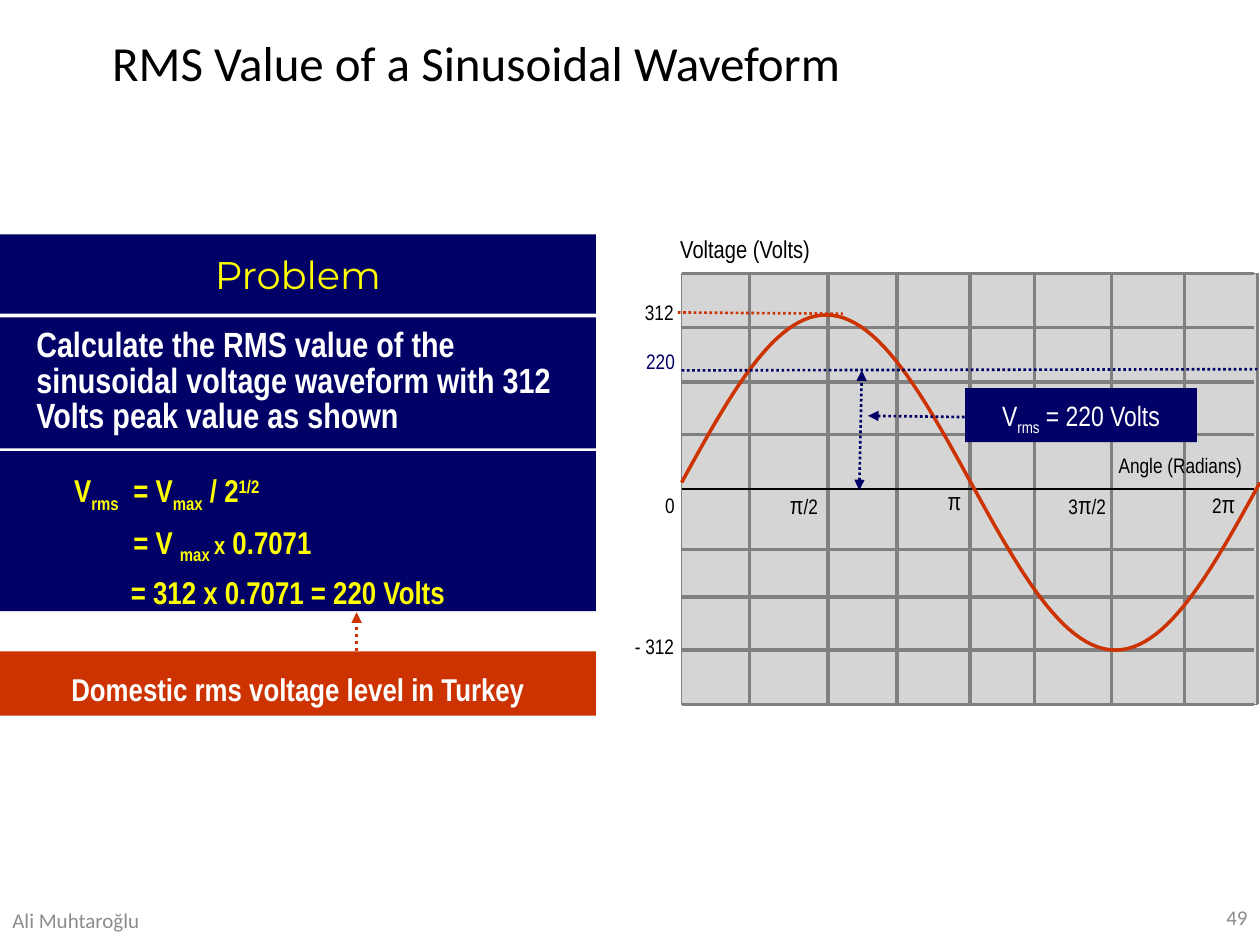
from math import pi, sin

from lxml import etree
from pptx import Presentation
from pptx.dml.color import RGBColor
from pptx.enum.dml import MSO_LINE
from pptx.enum.shapes import MSO_CONNECTOR, MSO_SHAPE
from pptx.enum.text import MSO_ANCHOR, PP_ALIGN
from pptx.oxml.ns import qn
from pptx.util import Inches, Pt

NAVY = RGBColor(0x00, 0x00, 0x66)
RED = RGBColor(0xCC, 0x33, 0x00)
YELLOW = RGBColor(0xFF, 0xFF, 0x00)
WHITE = RGBColor(0xFF, 0xFF, 0xFF)
BLACK = RGBColor(0x00, 0x00, 0x00)
GRAY = RGBColor(0x80, 0x80, 0x80)
SILVER = RGBColor(0xC0, 0xC0, 0xC0)
MUTED = RGBColor(0x8C, 0x8C, 0x8C)

LEFT, CENTER, RIGHT = PP_ALIGN.LEFT, PP_ALIGN.CENTER, PP_ALIGN.RIGHT
TOP, MIDDLE = MSO_ANCHOR.TOP, MSO_ANCHOR.MIDDLE
RECT, STRAIGHT, DOT = MSO_SHAPE.RECTANGLE, MSO_CONNECTOR.STRAIGHT, MSO_LINE.ROUND_DOT
TITLE_ONLY = 5
NARROW, CALIBRI = "Arial Narrow", "Calibri"
SUB, SUP = -25000, 30000
PAD = (0.1, 0.05)


class Painter:
    def __init__(self, slide, font):
        self.slide = slide
        self.shapes = slide.shapes
        self.font = font

    def fill_text(self, frame, paras, size, color, bold=False, font=None, align=LEFT,
                  anchor=TOP, pad=PAD, wrap=True, space=None, indents=()):
        """Fill a frame; a paragraph is a list of texts or (text, size, baseline)."""
        frame.word_wrap = wrap
        frame.vertical_anchor = anchor
        frame.margin_left = frame.margin_right = Inches(pad[0])
        frame.margin_top = frame.margin_bottom = Inches(pad[1])
        for i, parts in enumerate(paras):
            para = frame.paragraphs[0] if i == 0 else frame.add_paragraph()
            para.alignment = align
            if space:
                para.line_spacing = space
            if indents:
                margin, first = indents[i]
                props = para._p.get_or_add_pPr()
                props.set("marL", str(Inches(margin)))
                props.set("indent", str(Inches(first)))
            for part in parts:
                text, points, base = (part, size, 0) if isinstance(part, str) else part
                run = para.add_run()
                run.text = text
                run.font.name = font or self.font
                run.font.size = Pt(points)
                run.font.bold = bold
                run.font.color.rgb = color
                if base:
                    run._r.get_or_add_rPr().set("baseline", str(base))

    def title(self, text, box, size):
        shape = self.shapes.title
        shape.left, shape.top, shape.width, shape.height = map(Inches, box)
        self.fill_text(shape.text_frame, [[text]], size, BLACK, font=CALIBRI, wrap=False)

    def label(self, parts, box, size=12, color=BLACK, **style):
        shape = self.shapes.add_textbox(*map(Inches, box))
        self.fill_text(shape.text_frame, [parts], size, color, **style)

    def panel(self, box, fill, alpha=None, edge=None):
        shape = self.shapes.add_shape(RECT, *map(Inches, box))
        shape.shadow.inherit = False
        shape.fill.solid()
        shape.fill.fore_color.rgb = fill
        if alpha:
            tint = next(shape._element.spPr.iter(qn("a:srgbClr")))
            etree.SubElement(tint, qn("a:alpha")).set("val", str(alpha * 1000))
        if edge:
            shape.line.color.rgb = edge
            shape.line.width = Pt(0.75)
        else:
            shape.line.fill.background()
        return shape

    def card(self, paras, box, fill, size, color, **style):
        self.fill_text(self.panel(box, fill).text_frame, paras, size, color, **style)

    def line(self, start, end, color=GRAY, width=0, dash=None, ends=()):
        """Draw a line; ends names its arrowheads, headEnd and tailEnd."""
        link = self.shapes.add_connector(STRAIGHT, *map(Inches, start + end))
        link.line.color.rgb = color
        link.line.width = Pt(width)
        if dash:
            link.line.dash_style = dash
        props = link._element.spPr
        for name in ends:
            etree.SubElement(props.find(qn("a:ln")), qn("a:" + name)).set("type", "triangle")
        etree.SubElement(props, qn("a:effectLst"))

    def curve(self, points, color, width):
        pen = self.shapes.build_freeform(*map(Inches, points[0]))
        pen.add_line_segments([tuple(map(Inches, p)) for p in points[1:]], close=False)
        shape = pen.convert_to_shape()
        shape.shadow.inherit = False
        shape.fill.background()
        shape.line.color.rgb = color
        shape.line.width = Pt(width)


def draw_problem(art):
    width = 4.73
    art.card([["Calculate the RMS value of the sinusoidal voltage waveform "
               "with 312 Volts peak value as shown"]],
             (0, 2.52, width, 1.04), NAVY, 20, WHITE, bold=True, pad=(0.1, 0.09),
             space=0.85, indents=[(0.19, 0)])
    steps = [
        ["V", ("rms", 18, SUB), "\t= V", ("max", 18, SUB), " / 2", ("1/2", 18, SUP)],
        ["= V ", ("max ", 18, SUB), ("x", 14, 0), " 0.7071"],
        ["= 312 x 0.7071 = 220 Volts"],
    ]
    art.card(steps, (0, 3.58, width, 1.27), NAVY, 18, YELLOW, bold=True,
             pad=(0.1, 0.09), space=1.2, indents=[(0.96, -0.47), (0.96, 0), (0.94, 0)])
    art.card([["Problem"]], (0, 1.86, width, 0.63), NAVY, 22, YELLOW,
             font="Montserrat", align=CENTER, pad=(0.06, 0.13))
    art.line((2.83, 5.17), (2.83, 4.86), RED, 2, DOT, ["tailEnd"])
    art.card([["Domestic rms voltage level in Turkey"]], (0, 5.17, width, 0.51), RED,
             18, WHITE, bold=True, align=CENTER, pad=(0.1, 0.09), space=1.2)


def draw_graph(art):
    left, top, right, bottom = 5.41, 2.17, 9.98, 5.59
    art.panel((left, top, right - left, bottom - top), SILVER, 66, GRAY)
    for x in (5.95, 6.57, 7.12, 7.7, 8.21, 8.82, 9.4, right):
        art.line((x, top), (x, bottom))
    for y in (top, 2.6, 3.03, 3.45, 4.36, 4.74, 5.16, bottom):
        art.line((left, y), (9.95, y))
    art.line((left, 3.88), (9.95, 3.88), BLACK, 1.25)

    span, peak, mid, count = 4.59, 1.33, 3.83, 100
    wave = [(left + span * i / count, mid - peak * sin(2 * pi * i / count))
            for i in range(count + 1)]
    art.curve(wave, RED, 2)

    for text, x, y, width, size, color in (
        ("312", 5.02, 2.33, 0.43, 12, BLACK),
        ("220", 5.03, 2.72, 0.43, 12, NAVY),
        ("0", 5.18, 3.86, 0.28, 12, BLACK),
        ("- 312", 4.94, 4.98, 0.51, 12, BLACK),
        ("Voltage (Volts)", 5.3, 1.81, 1.32, 14, BLACK),
        ("Angle (Radians)", 8.78, 3.54, 1.24, 12, BLACK),
    ):
        art.label([text], (x, y, width, 0.3), size, color, wrap=False)

    sign = ("π", 14, 0)
    for parts, x, y, width in (
        ([sign, "/2"], 6.27, 3.89, 0.36),
        ([sign], 7.52, 3.86, 0.19),
        (["3", sign, "/2"], 8.48, 3.89, 0.42),
        (["2", sign], 9.62, 3.88, 0.3),
    ):
        art.label(parts, (x, y, width, 0.23), pad=(0, 0))

    art.line((left, 2.94), (10, 2.93), NAVY, 1.5, DOT)
    art.line((6.82, 3.89), (6.84, 2.94), NAVY, 1.5, DOT, ["headEnd", "tailEnd"])
    art.line((6.89, 3.3), (7.66, 3.31), NAVY, 1.5, DOT, ["headEnd"])
    art.line((5.38, 2.48), (6.69, 2.49), RED, 1.5, DOT)
    art.card([["V", ("rms", 16, SUB), " = 220 Volts"]], (7.66, 3.08, 1.84, 0.43),
             NAVY, 16, WHITE, align=CENTER, pad=(0.1, 0.08))


def main():
    deck = Presentation()
    deck.slide_width, deck.slide_height = Inches(10), Inches(7.5)
    art = Painter(deck.slides.add_slide(deck.slide_layouts[TITLE_ONLY]), NARROW)
    art.title("RMS Value of a Sinusoidal Waveform", (0.79, 0.21, 6.04, 0.57), 28)
    draw_problem(art)
    draw_graph(art)
    foot = {"color": MUTED, "font": CALIBRI, "anchor": MIDDLE}
    art.label(["Ali Muhtaroğlu"], (0, 7.1, 1.38, 0.4), **foot)
    art.label(["49"], (9.04, 7.08, 0.96, 0.4), align=RIGHT, **foot)
    deck.save("out.pptx")


if __name__ == "__main__":
    main()
